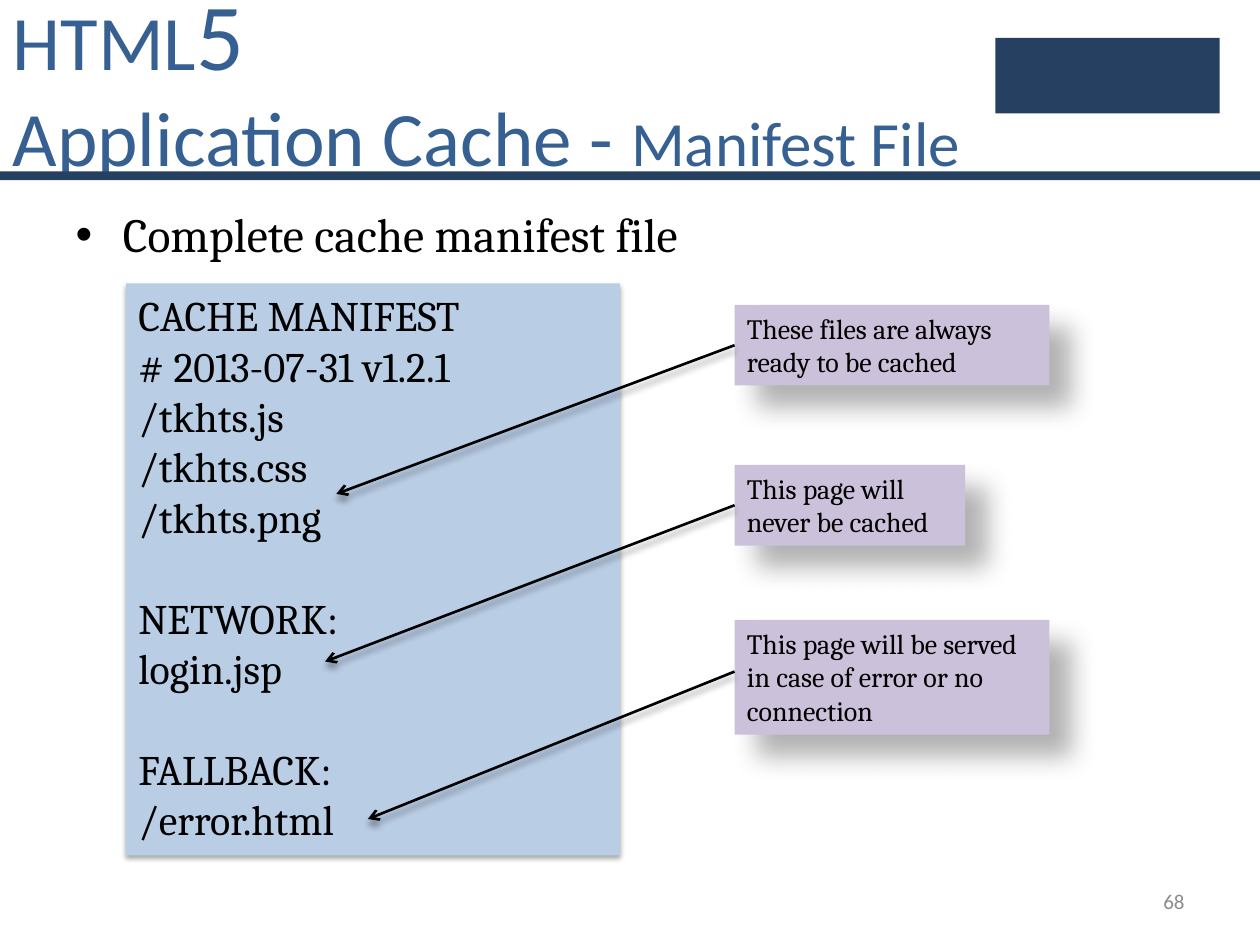
import pptx
import pptx.dml.color
import pptx.enum.shapes
import pptx.enum.text
import pptx.oxml
import pptx.oxml.ns
import pptx.util
from pptx.util import Inches

ALIGN = pptx.enum.text.PP_ALIGN
ANCHOR = pptx.enum.text.MSO_ANCHOR
RECTANGLE = pptx.enum.shapes.MSO_SHAPE.RECTANGLE


def rgb(value):
    return pptx.dml.color.RGBColor.from_string(value)


def write(paragraph, text, size=16, color="000000", font="Cambria"):
    """Add one formatted run to the paragraph."""
    run = paragraph.add_run()
    run.text = text
    run.font.name = font
    run.font.size = pptx.util.Pt(size)
    run.font.color.rgb = rgb(color)


def add_xml(parent, xml):
    namespace = pptx.oxml.ns.nsdecls("a")
    parent.append(pptx.oxml.parse_xml(xml.replace("NS", namespace, 1)))


def add_shadow(shape, opacity, blur, distance, angle):
    """Give the shape an outer black shadow; blur and distance in points."""
    add_xml(
        shape._element.spPr,
        f'<a:effectLst NS><a:outerShdw blurRad="{pptx.util.Pt(blur)}" '
        f'dist="{pptx.util.Pt(distance)}" dir="{angle * 60000}" '
        f'algn="tl" rotWithShape="0"><a:srgbClr val="000000">'
        f'<a:alpha val="{opacity * 1000}"/></a:srgbClr>'
        f'</a:outerShdw></a:effectLst>',
    )


class SlideBuilder:
    NAVY = "254061"
    TITLE = "376092"
    CODE_FILL = "B9CDE5"
    NOTE_FILL = "CCC1DA"
    GREY = "8C8C8C"
    HEADING_FONT = "Calibri"

    def __init__(self, presentation):
        layout = presentation.slide_layouts[1]
        self.slide = presentation.slides.add_slide(layout)
        self.shapes = self.slide.shapes

    def place(self, placeholder, left, top, width, height):
        placeholder.left, placeholder.top = Inches(left), Inches(top)
        placeholder.width, placeholder.height = Inches(width), Inches(height)
        frame = placeholder.text_frame
        frame.auto_size = pptx.enum.text.MSO_AUTO_SIZE.NONE
        return frame

    def title(self, lines, *box):
        """Write lines, each a list of (text, size) pairs, into the title."""
        frame = self.place(self.shapes.title, *box)
        frame.vertical_anchor = ANCHOR.MIDDLE
        for index, line in enumerate(lines):
            paragraph = frame.add_paragraph() if index else frame.paragraphs[0]
            paragraph.alignment = ALIGN.LEFT
            for text, size in line:
                write(paragraph, text, size=size, color=self.TITLE,
                      font=self.HEADING_FONT)

    def bullet(self, text, *box):
        frame = self.place(self.slide.placeholders[1], *box)
        paragraph = frame.paragraphs[0]
        paragraph.space_before = pptx.util.Pt(0)
        write(paragraph, text, size=27.2)

    def rectangle(self, left, top, width, height, fill):
        shape = self.shapes.add_shape(
            RECTANGLE, Inches(left), Inches(top), Inches(width), Inches(height))
        shape.fill.solid()
        shape.fill.fore_color.rgb = rgb(fill)
        shape.line.fill.background()
        return shape

    def plain(self, *box, fill=NAVY):
        self.rectangle(*box, fill).shadow.inherit = False

    def panel(self, *box, fill, shadow):
        """Add a shadowed box and return its top-left aligned text frame."""
        shape = self.rectangle(*box, fill)
        add_shadow(shape, *shadow)
        frame = shape.text_frame
        frame.word_wrap = True
        frame.vertical_anchor = ANCHOR.TOP
        frame.paragraphs[0].alignment = ALIGN.LEFT
        return frame

    def code(self, sections, *box):
        """Write sections of lines, one line's height apart."""
        frame = self.panel(*box, fill=self.CODE_FILL, shadow=(35, 3.1, 1.8, 90))
        paragraph = frame.paragraphs[0]
        for section_index, section in enumerate(sections):
            for line_index, line in enumerate(section):
                if section_index or line_index:
                    paragraph = frame.add_paragraph()
                    paragraph.alignment = ALIGN.LEFT
                if section_index and not line_index:
                    paragraph.space_before = pptx.util.Pt(28.8)
                write(paragraph, line, size=24)

    def note(self, text, *box):
        frame = self.panel(*box, fill=self.NOTE_FILL, shadow=(30, 15, 18, 45))
        write(frame.paragraphs[0], text)

    def arrow(self, *ends):
        connector = self.shapes.add_connector(
            pptx.enum.shapes.MSO_CONNECTOR.STRAIGHT, *map(Inches, ends))
        connector.line.color.rgb = rgb("000000")
        connector.line.width = pptx.util.Pt(1.5)
        add_xml(connector.line._get_or_add_ln(), '<a:tailEnd NS type="arrow"/>')
        add_shadow(connector, 40, 4, 3, 90)

    def page_number(self, text, *box):
        frame = self.shapes.add_textbox(*map(Inches, box)).text_frame
        frame.word_wrap = True
        frame.vertical_anchor = ANCHOR.MIDDLE
        frame.paragraphs[0].alignment = ALIGN.RIGHT
        write(frame.paragraphs[0], text, size=12, color=self.GREY,
              font=self.HEADING_FONT)


def main():
    presentation = pptx.Presentation()
    presentation.slide_width = Inches(10)
    presentation.slide_height = Inches(7.5)
    builder = SlideBuilder(presentation)

    builder.title(
        [[("HTML", 44), ("5", 54)],
         [("Application Cache - ", 44), ("Manifest File", 36)]],
        0, -0.08, 8, 1.42)
    builder.bullet("Complete cache manifest file", 0.5, 1.58, 9, 0.5)
    builder.plain(0, 1.36, 10, 0.07)
    builder.plain(7.9, 0.3, 1.78, 0.6)
    builder.page_number("68", 7.17, 6.95, 2.33, 0.4)

    builder.code(
        [["CACHE MANIFEST", "# 2013-07-31 v1.2.1",
          "/tkhts.js", "/tkhts.css", "/tkhts.png"],
         ["NETWORK:", "login.jsp"],
         ["FALLBACK:", "/error.html"]],
        1, 2.25, 3.92, 4.54)

    note_left = 5.83
    notes = [
        ("These files are always ready to be cached",
         2.42, 2.5, 0.64, 2.74, (2.67, 3.92)),
        ("This page will never be cached",
         3.69, 1.83, 0.64, 4.01, (2.58, 5.25)),
        ("This page will be served in case of error or no connection",
         4.92, 2.5, 0.91, 5.33, (2.92, 6.5)),
    ]
    for text, top, width, height, arrow_top, target in notes:
        builder.note(text, note_left, top, width, height)
        builder.arrow(note_left, arrow_top, *target)

    presentation.save("out.pptx")


if __name__ == "__main__":
    main()
